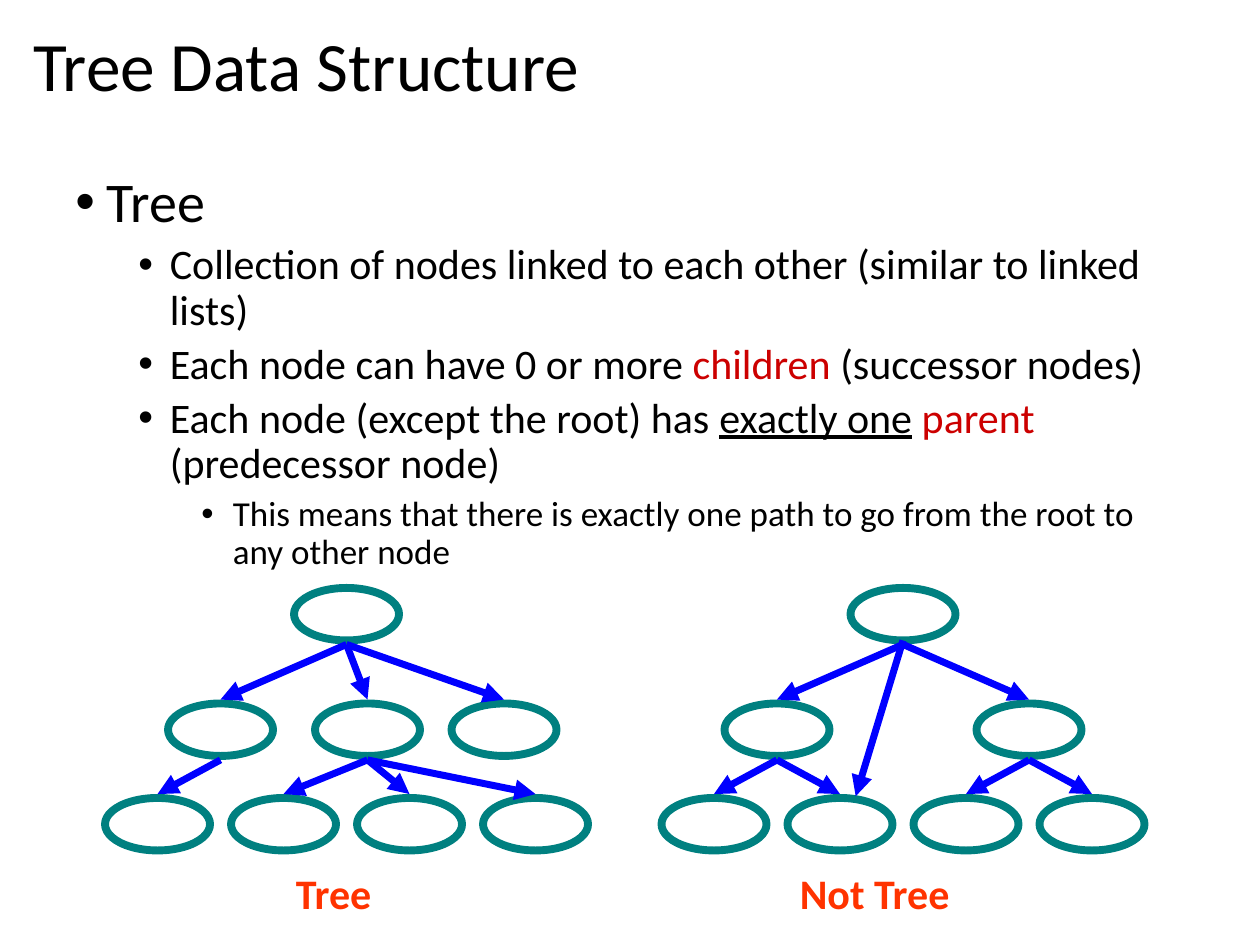
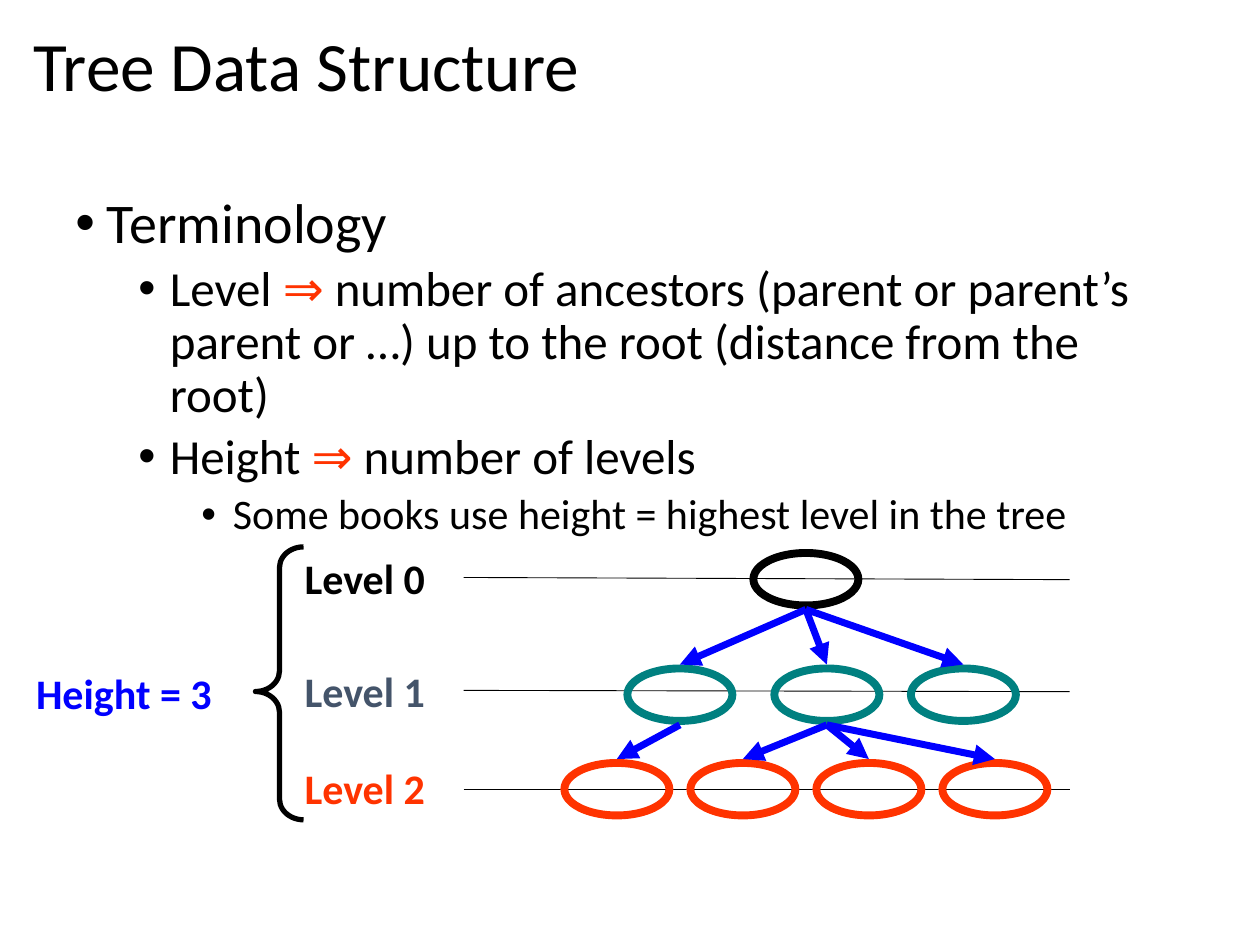
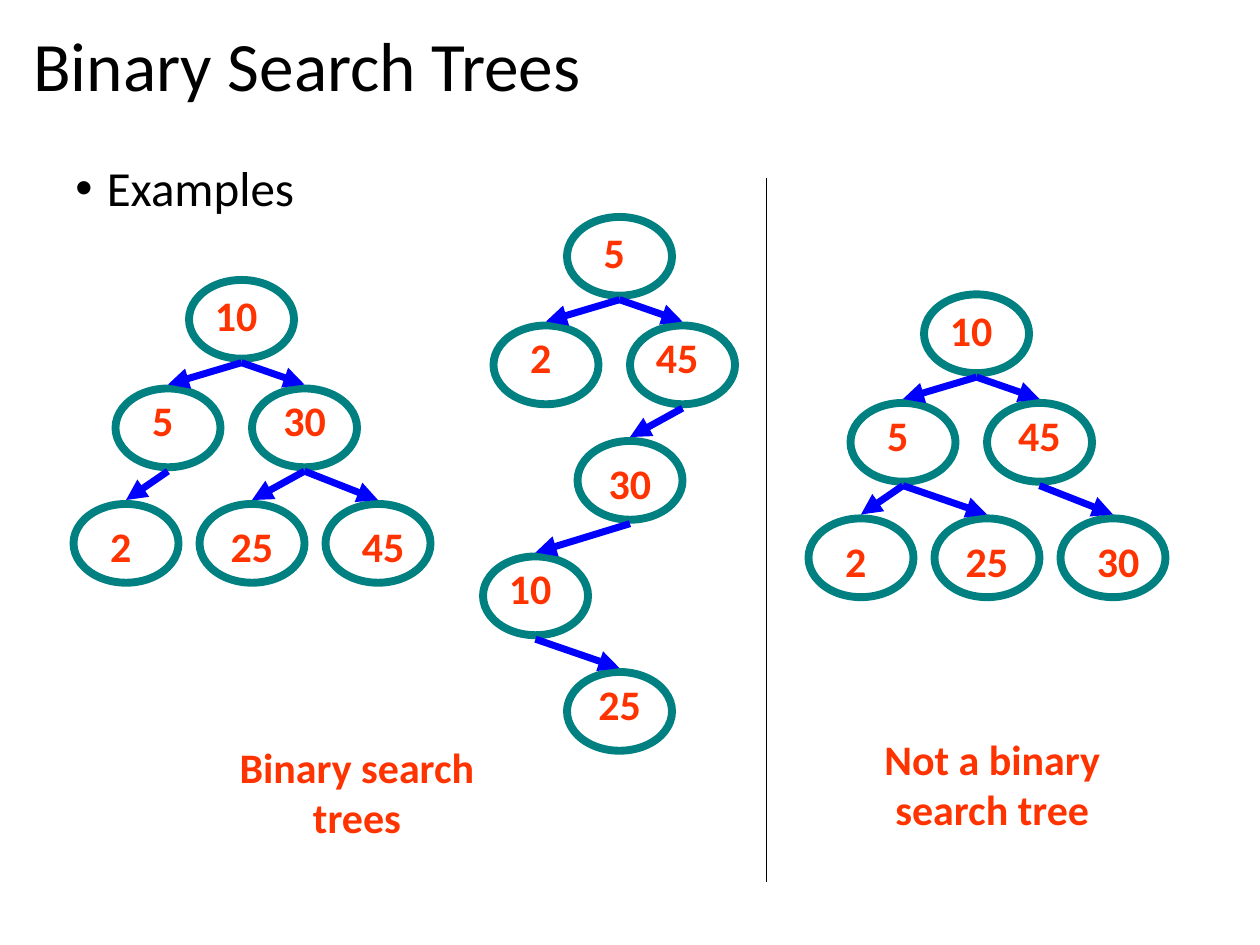
"""Build three slides on tree data structures and binary search trees."""
from pptx import Presentation
from pptx.dml.color import RGBColor
from pptx.enum.shapes import MSO_CONNECTOR, MSO_SHAPE
from pptx.enum.text import MSO_ANCHOR, MSO_AUTO_SIZE, PP_ALIGN
from pptx.oxml.ns import qn
from pptx.util import Pt
from lxml.etree import SubElement

BLACK = RGBColor(0x00, 0x00, 0x00)
TEAL = RGBColor(0x00, 0x80, 0x80)
BLUE = RGBColor(0x00, 0x00, 0xFF)
ORANGE = RGBColor(0xFF, 0x33, 0x00)
RED = RGBColor(0xCC, 0x00, 0x00)
SLATE = RGBColor(0x44, 0x54, 0x6A)

FONT = "Calibri"
NODE_WIDTH, PLAIN_HEIGHT, LABELLED_HEIGHT = 60, 30, 45
NODE_LINE, ARROW_LINE = 4.5, 4

TREE_BODY = [
    (0, 32, [("Tree",)]),
    (1, 24, [("Collection of nodes linked to each other (similar to linked lists)",)]),
    (1, 24, [("Each node can have 0 or more ",), ("children ", RED), ("(successor nodes)",)]),
    (1, 24, [("Each node (except the root) has ",), ("exactly one", BLACK, True), (" ",),
             ("parent ", RED), ("(predecessor node)",)]),
    (2, 20, [("This means that there is exactly one path to go from the root to any other node",)]),
]
TERM_BODY = [
    (0, 32, [("Terminology",)]),
    (1, 28, [("Level ",), ("\u21d2 ", ORANGE),
             ("number of ancestors (parent or parent\u2019s parent or \u2026) "
              "up to the root (distance from the root)",)]),
    (1, 28, [("Height ",), ("\u21d2 ", ORANGE), ("number of levels",)]),
    (2, 24, [("Some books use height = highest level in the tree",)]),
]
EXAMPLE_BODY = [(0, 28, [("Examples",)])]

LEVEL_TOPS = [336, 402, 456]
TREE_LEVELS = [[198], [126, 210, 288], [90, 162, 234, 306]]
TREE_PARENTS = [None, 0, 0, 0, 1, 2, 2, 2]
NOT_TREE_LEVELS = [[516], [444, 588], [408, 480, 552, 624]]
NOT_TREE_PARENTS = [None, 0, 0, 1, 1, 2, 2]
SECOND_PARENT_ARROW = (516, 366, 489, 455)

LEVEL_ROWS = [
    ("Level 0", BLACK, 312, 330, 331.25),
    ("Level 1", SLATE, 376.5, 394.5, 395.25),
    ("Level 2", ORANGE, 432, 451, 451),
]
LEVEL_LINE_LEFT, LEVEL_LINE_RIGHT = 265, 611.25

SEARCH_NODES = [(138, 160, -3, 2), (96, 222, -3, 0), (174, 222, 0, 0),
                (72, 288, -3, 6), (144, 288, 0, 6), (216, 288, 3, 6)]
CHAIN_NODES = [(354, 124, -3, 2), (312, 186, -3, 0), (390, 186, -3, 0),
               (360, 252, 0, 6), (306, 318, -3, 0), (354, 384, 0, 0)]
SEARCH_TREES = [
    (SEARCH_NODES, ["10", "5", "30", "2", "25", "45"], [None, 0, 0, 1, 2, 2], 0, 0),
    (SEARCH_NODES, ["10", "5", "45", "2", "25", "30"], [None, 0, 0, 1, 1, 2], 420, 8.25),
    (CHAIN_NODES, ["5", "2", "45", "30", "10", "25"], [None, 0, 0, 2, 3, 4], 0, 0),
]


def add_run(paragraph, text, size, color=BLACK, underline=False, bold=False):
    run = paragraph.add_run()
    run.text = text
    run.font.name = FONT
    run.font.size = Pt(size)
    run.font.color.rgb = color
    run.font.bold = bold
    run.font.underline = underline


def add_text_box(slide, left, top, width, height, wrap=True):
    box = slide.shapes.add_textbox(Pt(left), Pt(top), Pt(width), Pt(height))
    box.text_frame.word_wrap = wrap
    return box.text_frame


def add_label(slide, text, left, top, width, height=36, color=ORANGE, centered=False):
    frame = add_text_box(slide, left, top, width, height, wrap=centered)
    frame.auto_size = MSO_AUTO_SIZE.SHAPE_TO_FIT_TEXT
    paragraph = frame.paragraphs[0]
    paragraph.alignment = PP_ALIGN.CENTER if centered else PP_ALIGN.LEFT
    add_run(paragraph, text, 24, color, bold=True)


def add_body(slide, top, items):
    frame = add_text_box(slide, 36, top, 648, 356.5)
    for index, (level, size, runs) in enumerate(items):
        paragraph = frame.paragraphs[0] if index == 0 else frame.add_paragraph()
        paragraph.level = level
        paragraph.line_spacing = 0.9
        paragraph.space_before = Pt(5 if level else 10)
        properties = paragraph._p.get_or_add_pPr()
        properties.set("marL", str(Pt(18 + 36 * level)))
        properties.set("indent", str(Pt(-18)))
        SubElement(properties, qn("a:buFont")).set("typeface", "Arial")
        SubElement(properties, qn("a:buChar")).set("char", "\u2022")
        for text, *style in runs:
            add_run(paragraph, text, size, *style)


def add_line(slide, start_x, start_y, end_x, end_y, color=BLACK, width=1, arrow=False):
    line = slide.shapes.add_connector(
        MSO_CONNECTOR.STRAIGHT, Pt(start_x), Pt(start_y), Pt(end_x), Pt(end_y))
    line.line.color.rgb = color
    line.line.width = Pt(width)
    if arrow:
        SubElement(line.line._get_or_add_ln(), qn("a:tailEnd")).set("type", "triangle")
    SubElement(line.element.spPr, qn("a:effectLst"))


def add_arrow(slide, start_x, start_y, end_x, end_y):
    add_line(slide, start_x, start_y, end_x, end_y, BLUE, ARROW_LINE, arrow=True)


def add_outline(slide, kind, left, top, width, height, color, line_width):
    shape = slide.shapes.add_shape(kind, Pt(left), Pt(top), Pt(width), Pt(height))
    shape.shadow.inherit = False
    shape.fill.background()
    shape.line.color.rgb = color
    shape.line.width = Pt(line_width)
    return shape


def draw_tree(slide, nodes, parents, height):
    for center, top, color in nodes:
        add_outline(slide, MSO_SHAPE.OVAL, center - NODE_WIDTH / 2, top,
                    NODE_WIDTH, height, color, NODE_LINE)
    gap = NODE_LINE / 2
    for (center, top, _), parent in zip(nodes, parents):
        if parent is not None:
            parent_center, parent_top, _ = nodes[parent]
            add_arrow(slide, parent_center, parent_top + height + gap, center, top - gap)


def draw_level_tree(slide, levels, parents, colors=(TEAL, TEAL, TEAL), shift_x=0, shift_y=0):
    nodes = [(center + shift_x, top + shift_y, color)
             for centers, top, color in zip(levels, LEVEL_TOPS, colors)
             for center in centers]
    draw_tree(slide, nodes, parents, PLAIN_HEIGHT)


def draw_search_tree(slide, places, values, parents, shift_x, shift_y):
    nodes = [(center + shift_x, top + shift_y, TEAL) for center, top, _, _ in places]
    draw_tree(slide, nodes, parents, LABELLED_HEIGHT)
    for (center, top, _), (_, _, nudge_x, nudge_y), value in zip(nodes, places, values):
        width = 30 if len(value) == 1 else 48 - 2 * abs(nudge_x)
        add_label(slide, value, center + nudge_x - width / 2, top + nudge_y, width, centered=True)


def add_slide(presentation, title, body_top, body):
    slide = presentation.slides.add_slide(presentation.slide_layouts[6])
    frame = add_text_box(slide, 12, 13, 693, 53)
    frame.vertical_anchor = MSO_ANCHOR.MIDDLE
    frame.paragraphs[0].line_spacing = 0.9
    add_run(frame.paragraphs[0], title, 39.6)
    add_body(slide, body_top, body)
    return slide


presentation = Presentation()
presentation.slide_width, presentation.slide_height = Pt(720), Pt(540)

tree_slide = add_slide(presentation, "Tree Data Structure", 96, TREE_BODY)
draw_level_tree(tree_slide, NOT_TREE_LEVELS, NOT_TREE_PARENTS)
draw_level_tree(tree_slide, TREE_LEVELS, TREE_PARENTS)
add_label(tree_slide, "Tree", 162, 492, 65.5)
add_label(tree_slide, "Not Tree", 450, 492, 111)
add_arrow(tree_slide, *SECOND_PARENT_ARROW)

term_slide = add_slide(presentation, "Tree Data Structure", 108, TERM_BODY)
for name, color, label_top, line_start, line_end in LEVEL_ROWS:
    add_line(term_slide, LEVEL_LINE_LEFT, line_start, LEVEL_LINE_RIGHT, line_end, width=0.5)
    add_label(term_slide, name, 167, label_top, 96, color=color)
draw_level_tree(term_slide, TREE_LEVELS, TREE_PARENTS, (BLACK, TEAL, ORANGE), 262.5, -20)
add_label(term_slide, "Height = 3", 13.5, 378, 132, color=BLUE)
brace = add_outline(term_slide, MSO_SHAPE.RIGHT_BRACE, 146, 312.5, 27.5, 156, BLACK, 3)
brace.adjustments[0], brace.adjustments[1] = 0.43, 0.53
brace.element.spPr.find(qn("a:xfrm")).set("flipH", "1")

search_slide = add_slide(presentation, "Binary Search Trees", 90, EXAMPLE_BODY)
for search_tree in SEARCH_TREES:
    draw_search_tree(search_slide, *search_tree)
add_label(search_slide, "Binary search trees", 120, 420, 168, 65, centered=True)
add_label(search_slide, "Not a binary search tree", 474, 415.5, 186, 65, centered=True)
add_line(search_slide, 438, 102, 438, 504)

presentation.save("out.pptx")
